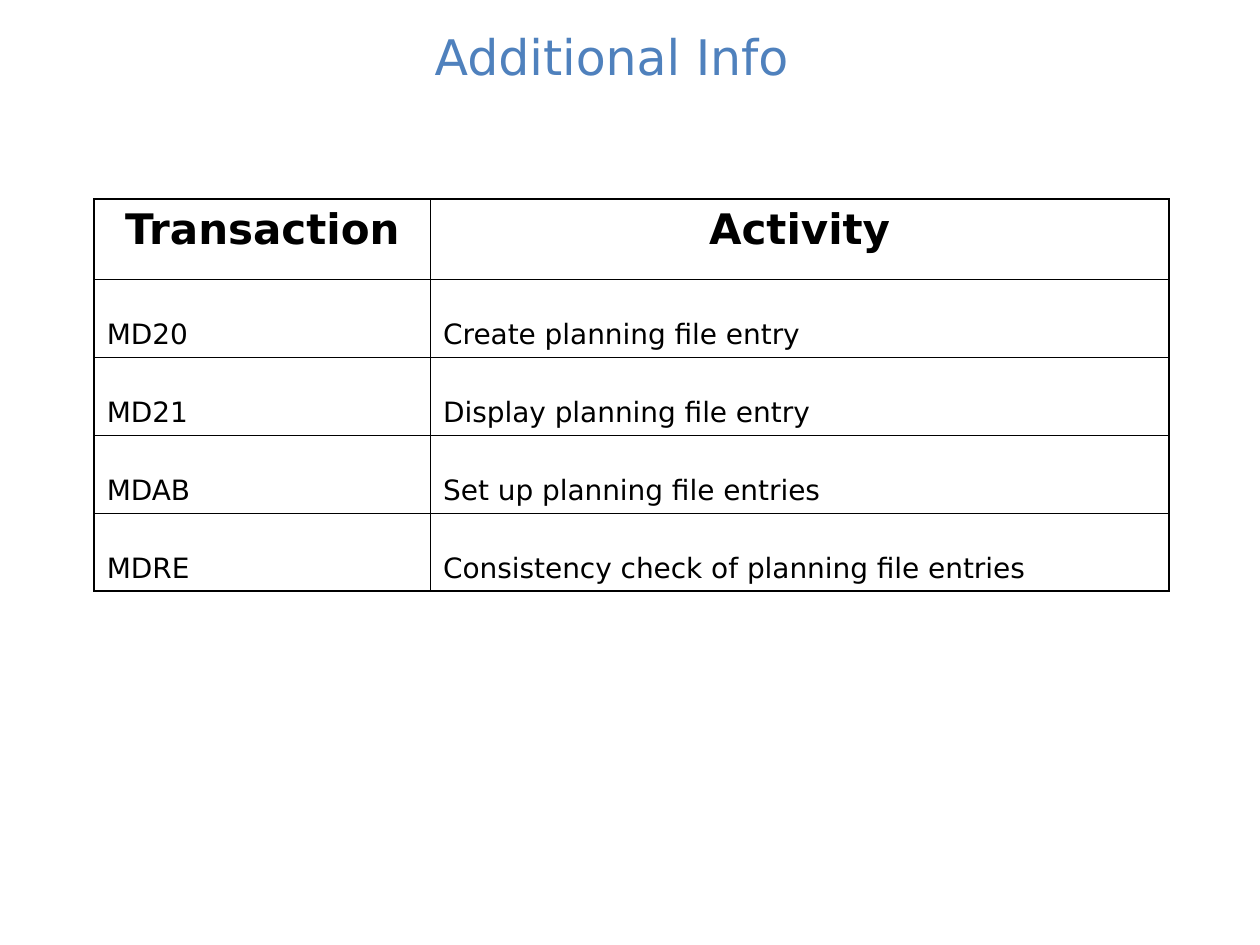
from dataclasses import dataclass

from lxml import etree
from pptx import Presentation, util as u
from pptx.dml import color
from pptx.enum import text
from pptx.oxml import ns


@dataclass(frozen=True)
class Theme:
    """Hold the colours, type sizes and line widths of the slide."""
    font: str = "DejaVu Sans"
    accent: str = "4F81BD"
    ink: str = "000000"
    title_size: int = 28
    header_size: int = 24
    body_size: int = 16
    outer_line: float = 1.08
    inner_line: float = 0.45


THEME = Theme()
COLUMN_WIDTHS = (6.78, 14.88)
HEADER_HEIGHT, ROW_HEIGHT = 1.62, 1.57
ROWS = (
    ("Transaction", "Activity"),
    ("MD20", "Create planning file entry"),
    ("MD21", "Display planning file entry"),
    ("MDAB", "Set up planning file entries"),
    ("MDRE", "Consistency check of planning file entries"),
)


def write_text(frame, content, *, size, ink=THEME.ink, bold=False,
               align=text.PP_ALIGN.LEFT):
    """Write one formatted paragraph into a text frame."""
    para = frame.paragraphs[0]
    para.alignment = align
    span = para.add_run()
    span.text = content
    span.font.name = THEME.font
    span.font.size = u.Pt(size)
    span.font.bold = bold
    span.font.color.rgb = color.RGBColor.from_string(ink)


def add_title(page, content):
    """Add the centred slide title."""
    box = page.shapes.add_textbox(u.Cm(0.2), u.Cm(0.2), u.Cm(24.26), u.Cm(1.85))
    box.text_frame.word_wrap = True
    box.text_frame.vertical_anchor = text.MSO_ANCHOR.MIDDLE
    write_text(box.text_frame, content, size=THEME.title_size,
               ink=THEME.accent, align=text.PP_ALIGN.CENTER)


def set_borders(cell, outer_sides):
    """Draw the four cell borders, heavier on the table's outer sides."""
    properties = cell._tc.get_or_add_tcPr()
    for side in "LRTB":
        points = THEME.outer_line if side in outer_sides else THEME.inner_line
        line = etree.SubElement(properties, ns.qn(f"a:ln{side}"), w=str(u.Pt(points)))
        fill = etree.SubElement(line, ns.qn("a:solidFill"))
        etree.SubElement(fill, ns.qn("a:srgbClr"), val=THEME.ink)


def fill_cell(cell, content, *, header, outer_sides):
    """Format one table cell and write its text."""
    set_borders(cell, outer_sides)
    cell.fill.background()
    cell.vertical_anchor = text.MSO_ANCHOR.TOP if header else text.MSO_ANCHOR.BOTTOM
    write_text(cell.text_frame, content, bold=header,
               size=THEME.header_size if header else THEME.body_size,
               align=text.PP_ALIGN.CENTER if header else text.PP_ALIGN.LEFT)


def add_transaction_table(page):
    """Add the table of transactions and their activities."""
    last_row, last_column = len(ROWS) - 1, len(COLUMN_WIDTHS) - 1
    table = page.shapes.add_table(
        len(ROWS), len(COLUMN_WIDTHS), u.Cm(1.9), u.Cm(4.01),
        u.Cm(sum(COLUMN_WIDTHS)), u.Cm(HEADER_HEIGHT + last_row * ROW_HEIGHT)).table
    table.first_row = table.horz_banding = False
    for column, width in zip(table.columns, COLUMN_WIDTHS):
        column.width = u.Cm(width)
    for r, entries in enumerate(ROWS):
        table.rows[r].height = u.Cm(ROW_HEIGHT if r else HEADER_HEIGHT)
        for c, content in enumerate(entries):
            edges = {"L": c == 0, "R": c == last_column, "T": r == 0, "B": r == last_row}
            outer_sides = [side for side, outer in edges.items() if outer]
            fill_cell(table.cell(r, c), content, header=r == 0, outer_sides=outer_sides)


def main():
    """Build and save the deck."""
    deck = Presentation()
    deck.slide_width, deck.slide_height = u.Cm(25.4), u.Cm(19.05)
    page = deck.slides.add_slide(deck.slide_layouts[6])
    add_title(page, "Additional Info")
    add_transaction_table(page)
    deck.save("out.pptx")


if __name__ == "__main__":
    main()
